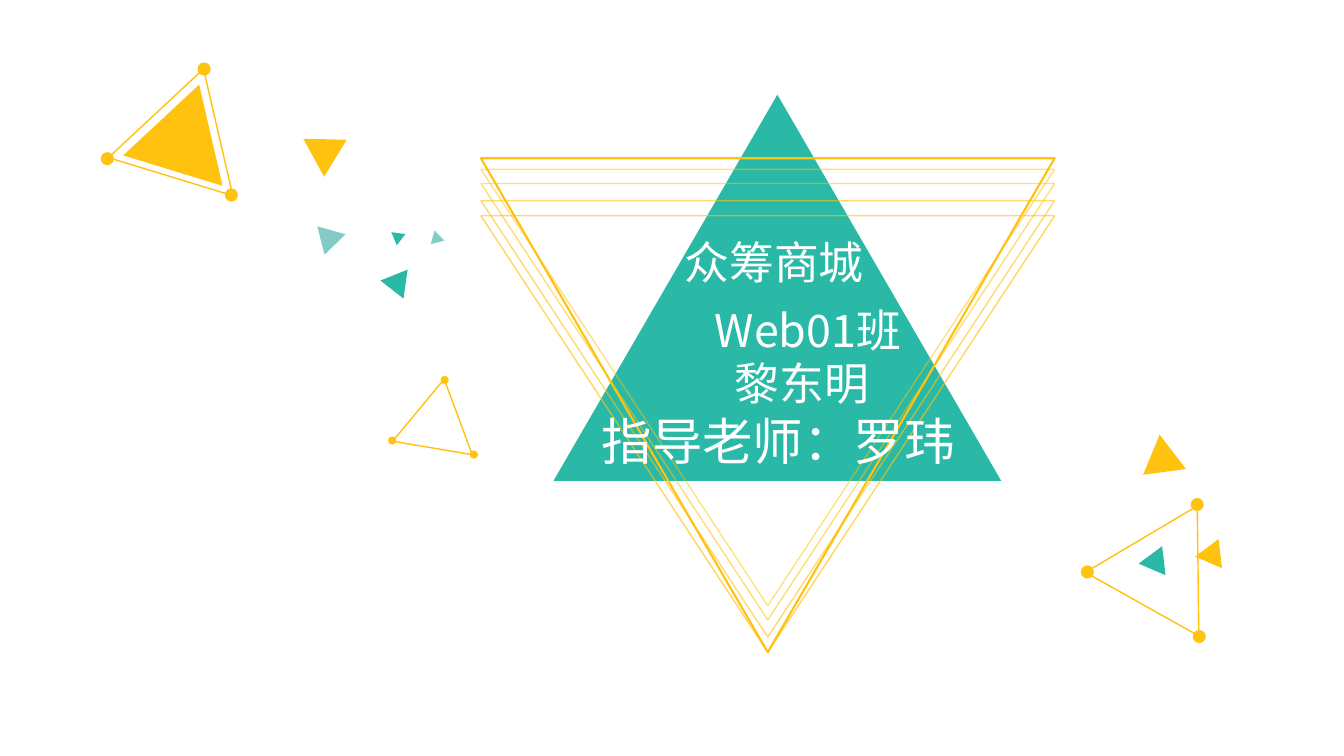
from math import sqrt
from lxml import etree
from pptx import Presentation
from pptx.dml.color import RGBColor
from pptx.enum.shapes import MSO_SHAPE as Shape
from pptx.enum.text import MSO_AUTO_SIZE as AutoSize
from pptx.oxml.ns import qn
from pptx.util import Inches, Pt

THEME = {
    "teal": RGBColor.from_string("29B9A6"),
    "mint": RGBColor.from_string("84CBC5"),
    "gold": RGBColor.from_string("FFC20F"),
    "white": RGBColor.from_string("FFFFFF"),
    "font": "Noto Sans CJK SC",
    "teacher_font": "Arial",
    "title_size": Pt(32),
    "teacher_size": Pt(36),
    "thin": Pt(1),
    "bold": Pt(1.5),
}
EQUILATERAL = sqrt(3) / 2

presentation = Presentation()
presentation.slide_width = Inches(13.33)
presentation.slide_height = Inches(7.5)
slide = presentation.slides.add_slide(presentation.slide_layouts[6])


def add_figure(kind, left, top, width, height, rotation=0, fill=None, line=None, opacity=100):
    shape = slide.shapes.add_shape(kind, Inches(left), Inches(top), Inches(width), Inches(height))
    shape.rotation = rotation
    shape.shadow.inherit = False
    if fill:
        shape.fill.solid()
        shape.fill.fore_color.rgb = THEME[fill]
    else:
        shape.fill.background()
    if not line:
        shape.line.fill.background()
        return
    shape.line.width = THEME[line]
    shape.line.color.rgb = THEME["gold"]
    if opacity < 100:
        color = shape.line._get_or_add_ln().find(".//" + qn("a:srgbClr"))
        etree.SubElement(color, qn("a:alpha"), val=str(opacity * 1000))


def add_text(left, top, width, height, lines, font_name, size, wrap=False):
    box = slide.shapes.add_textbox(Inches(left), Inches(top), Inches(width), Inches(height))
    frame = box.text_frame
    frame.word_wrap = wrap
    frame.auto_size = AutoSize.SHAPE_TO_FIT_TEXT
    for index, (text, indent) in enumerate(lines):
        paragraph = frame.add_paragraph() if index else frame.paragraphs[0]
        run = paragraph.add_run()
        run.text = text
        if indent:
            paragraph._p.get_or_add_pPr().set("marL", str(Inches(indent)))
        for name, value in {"name": THEME[font_name], "size": THEME[size]}.items():
            setattr(run.font, name, value)
        run.font.color.rgb = THEME["white"]


add_figure(Shape.ISOSCELES_TRIANGLE, 5.49, 0.94, 4.44, 3.83, fill="teal")

add_figure(Shape.ISOSCELES_TRIANGLE, 4.77, 1.57, 5.69, 4.9, 180, line="bold")
for top, opacity in [(2.14, 65), (1.99, 60), (1.82, 55), (1.68, 50)]:
    add_figure(Shape.ISOSCELES_TRIANGLE, 4.77, top, 5.69, 4.33, 180, line="thin", opacity=opacity)

solid_triangles = [
    (11.27, 4.41, 0.43, 232.4, "gold"),
    (11.34, 5.48, 0.29, 143.3, "teal"),
    (11.9, 5.41, 0.29, 143.3, "gold"),
    (3.09, 2.21, 0.29, 315.7, "mint"),
    (3.06, 1.29, 0.43, 61.3, "gold"),
    (3.81, 2.72, 0.29, 158, "teal"),
    (1.33, 0.82, 1.03, 17, "gold"),
    (4.28, 2.31, 0.14, 105.3, "mint"),
    (3.86, 2.28, 0.14, 307.6, "teal"),
]
for left, top, side, rotation, fill in solid_triangles:
    add_figure(Shape.ISOSCELES_TRIANGLE, left, top, side, side * EQUILATERAL, rotation, fill=fill)

dotted_triangles = [
    (10.96, 5.27, 1.29, 149.3, 0.13, [(11.81, 4.94), (11.83, 6.25), (10.72, 5.61)]),
    (3.82, 3.91, 0.8, 249.6, 0.08, [(4.66, 4.47), (3.85, 4.33), (4.37, 3.73)]),
    (1.21, 0.66, 1.29, 17, 0.13, [(1, 1.51), (1.96, 0.62), (2.23, 1.87)]),
]
for left, top, side, rotation, diameter, dots in dotted_triangles:
    add_figure(Shape.ISOSCELES_TRIANGLE, left, top, side, side * EQUILATERAL, rotation, line="thin")
    for dot_left, dot_top in dots:
        add_figure(Shape.OVAL, dot_left, dot_top, diameter, diameter, fill="gold")

add_text(5.79, 2.95, 3.62, 1.17, [("Web01班", 1.2), ("黎东明", 1.4)], "font", "title_size", wrap=True)
add_text(5.87, 4.02, 3.7, 0.82, [("指导老师：罗玮", 0)], "teacher_font", "teacher_size")
add_text(6.69, 2.28, 3.7, 0.76, [("众筹商城", 0)], "font", "title_size")

presentation.save("out.pptx")
